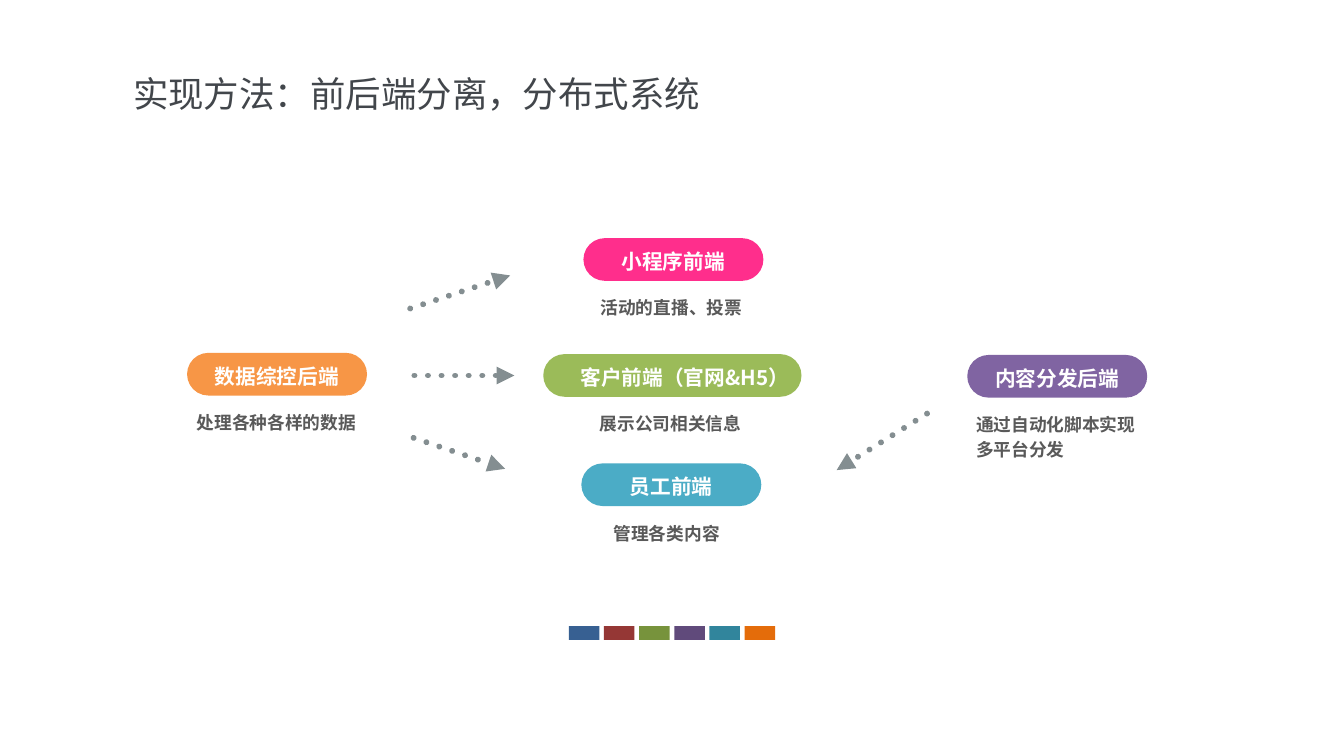
from lxml import etree
from pptx import Presentation
from pptx.dml.color import RGBColor
from pptx.enum.shapes import MSO_CONNECTOR, MSO_SHAPE
from pptx.enum.text import MSO_ANCHOR, PP_ALIGN
from pptx.oxml.ns import qn
from pptx.util import Cm, Pt

PILL, RECT = MSO_SHAPE.ROUNDED_RECTANGLE, MSO_SHAPE.RECTANGLE
LINE = MSO_CONNECTOR.STRAIGHT
LEFT, CENTER = PP_ALIGN.LEFT, PP_ALIGN.CENTER
TOP, MIDDLE = MSO_ANCHOR.TOP, MSO_ANCHOR.MIDDLE

FACE = "Noto Sans CJK SC"
WHITE = RGBColor(0xFF, 0xFF, 0xFF)
DARK = RGBColor(0x42, 0x46, 0x4B)
GRAY = RGBColor(0x59, 0x59, 0x59)
STEEL = RGBColor(0x84, 0x8E, 0x91)
PINK = RGBColor(0xFF, 0x2E, 0x8C)
ORANGE = RGBColor(0xF7, 0x96, 0x46)
GREEN = RGBColor(0x9B, 0xBB, 0x59)
PURPLE = RGBColor(0x80, 0x64, 0xA2)
TEAL = RGBColor(0x4B, 0xAC, 0xC6)
BARS = [
    RGBColor(0x37, 0x60, 0x92), RGBColor(0x95, 0x37, 0x35),
    RGBColor(0x77, 0x93, 0x3C), RGBColor(0x60, 0x4A, 0x7B),
    RGBColor(0x31, 0x85, 0x9C), RGBColor(0xE4, 0x6C, 0x0A),
]

# Content, in centimetres
TITLE = "实现方法：前后端分离，分布式系统"
# label, colour, left, top, width, left inset, note, note left
PARTS = [
    ("小程序前端", PINK, 13.94, 5.69, 4.3, 0, "活动的直播、投票", 14.27),
    ("数据综控后端", ORANGE, 4.47, 8.43, 4.3, 0, "处理各种各样的数据", 4.62),
    ("客户前端（官网&H5）", GREEN, 12.98, 8.46, 6.17, 0.6, "展示公司相关信息", 14.25),
    ("内容分发后端", PURPLE, 23.11, 8.48, 4.3, 0, "通过自动化脚本实现多平台分发", 23.24),
    ("员工前端", TEAL, 13.89, 11.07, 4.3, 0, "管理各类内容", 14.58),
]
ARROWS = [
    (9.8, 7.37, 12.19, 6.58),
    (9.9, 8.97, 12.29, 8.97),
    (9.88, 10.46, 12.07, 11.2),
    (22.15, 9.88, 19.99, 11.23),
]
PILL_H, NOTE_W, NOTE_GAP = 1.02, 4.11, 1.3
BAR_X, BAR_Y, BAR_W, BAR_H, BAR_STEP = 13.59, 14.96, 0.73, 0.33, 0.84

prs = Presentation()
prs.slide_width, prs.slide_height = Cm(32.11), Cm(18.06)
slide = prs.slides.add_slide(prs.slide_layouts[5])
shapes = slide.shapes


def write(shape, text, size, color, bold, align, anchor, pad, wrap=True):
    frame = shape.text_frame
    frame.word_wrap = wrap
    frame.vertical_anchor = anchor
    frame.margin_left, frame.margin_top, frame.margin_right, frame.margin_bottom = map(Cm, pad)
    para = frame.paragraphs[0]
    para.text = text
    para.alignment = align
    para.line_spacing = 1.16
    font = para.font
    font.size, font.bold, font.name = Pt(size), bold, FACE
    font.color.rgb = color
    props = para._p.pPr.find(qn("a:defRPr"))
    etree.SubElement(props, qn("a:ea"), typeface=FACE)


def block(kind, box, color):
    shape = shapes.add_shape(kind, *map(Cm, box))
    shape.shadow.inherit = False
    shape.fill.solid()
    shape.fill.fore_color.rgb = color
    shape.line.fill.background()
    return shape


# Title
title = shapes.title
title.left, title.top, title.width, title.height = Cm(2.82), Cm(1.37), Cm(16.61), Cm(1.52)
write(title, TITLE, 24, DARK, False, LEFT, TOP, (0.36, 0.18, 0.36, 0.18))

# Dotted arrows
for ends in ARROWS:
    arrow = shapes.add_connector(LINE, *map(Cm, ends))
    arrow.line.color.rgb = STEEL
    arrow.line.width = Pt(4)
    ln = arrow.line._get_or_add_ln()
    ln.set("cap", "rnd")
    dash = etree.SubElement(ln, qn("a:custDash"))
    etree.SubElement(dash, qn("a:ds"), d="100000", sp="130000")
    etree.SubElement(ln, qn("a:tailEnd"), type="triangle", w="med", len="med")
    etree.SubElement(arrow._element.spPr, qn("a:effectLst"))

# Pills with their notes
for label, color, x, y, width, inset, note, left in PARTS:
    pill = block(PILL, (x, y, width, PILL_H), color)
    pill.adjustments[0] = 0.5
    write(pill, label, 14, WHITE, True, CENTER, MIDDLE, (inset, 0, 0, 0), False)
    box = shapes.add_textbox(Cm(left), Cm(y + NOTE_GAP), Cm(NOTE_W), Cm(0.64))
    write(box, note, 12, GRAY, True, LEFT, TOP, (0.08, 0.03, 0.08, 0.03))

# Colour bars
for i, color in enumerate(BARS):
    block(RECT, (BAR_X + i * BAR_STEP, BAR_Y, BAR_W, BAR_H), color)

prs.save("out.pptx")
